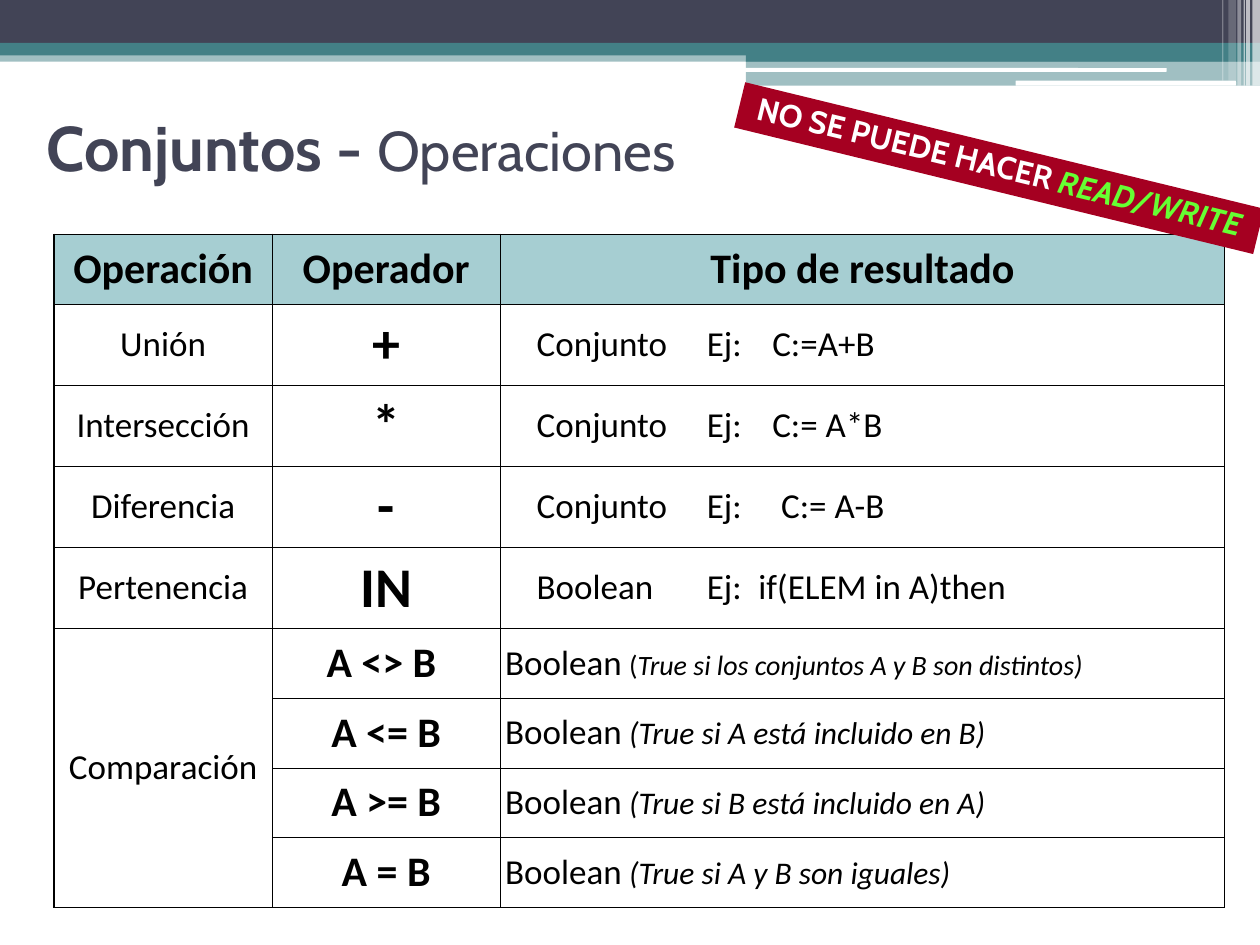
from pptx import Presentation
from pptx.dml.color import RGBColor
from pptx.enum.shapes import MSO_SHAPE as Shape
from pptx.enum.text import MSO_ANCHOR as Anchor, PP_ALIGN as Align
from pptx.oxml import parse_xml
from pptx.oxml.ns import nsdecls
from pptx.util import Inches, Pt

COLORS = {
    "navy": "424456", "teal": "438086", "white": "FFFFFF", "black": "000000",
    "header": "74B3BA", "red": "A50021", "green": "66FF33",
}
CELL = Inches(0.01)
COLUMNS, ROWS = 1000, 750
THIN, THICK = 0.45, 0.96


def grid(*lengths):
    return [round(length * CELL) for length in lengths]


def within(box, left, top, width, height):
    return grid(box[0] + left, box[1] + top, width, height)


def paint(fill, color, alpha=100):
    fill.solid()
    fill.fore_color.rgb = RGBColor.from_string(COLORS[color])
    if alpha < 100:
        choice = fill._xPr.find(".//{*}srgbClr")
        choice.append(parse_xml(f'<a:alpha {nsdecls("a")} val="{alpha * 1000}"/>'))


def add_block(page, place, color, alpha=100, kind=Shape.RECTANGLE):
    shape = page.shapes.add_shape(kind, *place)
    shape.shadow.inherit = False
    shape.line.fill.background()
    paint(shape.fill, color, alpha)
    return shape


def write(para, parts, font, color):
    for text, size, bold, italic, *own_color in parts:
        span = para.add_run()
        span.text = text
        span.font.name = font
        span.font.size = Pt(size)
        span.font.bold = bold
        span.font.italic = italic
        name = own_color[0] if own_color else color
        span.font.color.rgb = RGBColor.from_string(COLORS[name])


def draw_header(page, box):
    width, height = box[2:]
    split = 592
    bars = [
        (0, 40, width, 9, "teal", 50), (0, 0, width, 34, "navy", 100),
        (0, 34, width, 10, "teal", 100),
        (split, 39, width - split, 10, "teal", 100),
        (split, 48, width - split, 20, "teal", 50),
    ]
    for *place, color, alpha in bars:
        add_block(page, within(box, *place), color, alpha)
    for place in [(591, 54, 335, 3), (806, 64, 175, 4)]:
        add_block(page, within(box, *place), "white", kind=Shape.ROUNDED_RECTANGLE)
    stripes = [
        (994, 6, height, 65), (989, 3, height, 65), (987, 1, height, 60),
        (982, 3, height, 40), (975, 6, 64, 20), (970, 1, 64, 30),
    ]
    for left, thickness, length, alpha in stripes:
        add_block(page, within(box, left, 0, thickness, length), "white", alpha)


def draw_title(page, box):
    title = page.shapes.title
    title.left, title.top, title.width, title.height = grid(*box)
    title.text_frame.vertical_anchor = Anchor.MIDDLE
    para = title.text_frame.paragraphs[0]
    para.alignment = Align.LEFT
    write(para, [("Conjuntos - ", 36, True, False),
                 ("Operaciones", 32, False, False)], "Cabin", "navy")


def set_borders(cell, widths):
    properties = cell._tc.get_or_add_tcPr()
    for index, (side, width) in enumerate(zip("LRTB", widths)):
        properties.insert(index, parse_xml(
            f'<a:ln{side} {nsdecls("a")} w="{Pt(width)}"><a:solidFill>'
            f'<a:srgbClr val="{COLORS["black"]}"/></a:solidFill></a:ln{side}>'))


def set_tabs(para, *stops):
    marks = "".join(f'<a:tab pos="{stop}" algn="l"/>' for stop in grid(*stops))
    para._p.get_or_add_pPr().append(
        parse_xml(f'<a:tabLst {nsdecls("a")}>{marks}</a:tabLst>'))


def fill_cell(cell, parts, align=Align.CENTER):
    cell.vertical_anchor = Anchor.MIDDLE
    cell.margin_left, cell.margin_right, cell.margin_top, cell.margin_bottom = grid(4, 4, 5, 5)
    para = cell.text_frame.paragraphs[0]
    para.alignment = align
    write(para, parts, "Calibri", "black")
    return para


def draw_table(page, box):
    headings = ["Operación", "Operador", "Tipo de resultado"]
    operations = [
        ("Unión", "+", "Conjunto\tEj:\tC:=A+B", 187),
        ("Intersección", "*", "Conjunto\tEj:\tC:= A*B", 187),
        ("Diferencia", "-", "Conjunto\tEj:\tC:= A-B", 194),
        ("Pertenencia", "IN", "Boolean\tEj:\tif(ELEM in A)then", 176),
    ]
    small_open = [("(", 16, False, False),
                  ("True si los conjuntos A y B son distintos)", 16, False, True)]
    comparisons = [
        ("A <> B ", small_open),
        ("A <= B", [("(True si A está incluido en B)", 18, False, True)]),
        ("A >= B", [("(True si B está incluido en A)", 18, False, True)]),
        ("A = B", [("(True si A y B son iguales)", 18, False, True)]),
    ]
    count = 1 + len(operations) + len(comparisons)
    frame = page.shapes.add_table(count, 3, *grid(*box))
    table = frame.table
    table.first_row = table.horz_banding = False
    for column, width in zip(table.columns, grid(173, 181, 575)):
        column.width = width
    for row in table.rows:
        row.height = round(box[3] * CELL / count)

    for index in range(count):
        for side in range(3):
            cell = table.cell(index, side)
            if index:
                cell.fill.background()
            else:
                paint(cell.fill, "header", 64)
            edges = [side == 0, side == 2, index == 0, index == count - 1]
            set_borders(cell, [THICK if edge else THIN for edge in edges])

    for side, heading in enumerate(headings):
        fill_cell(table.cell(0, side), [(heading, 24, True, False)])
    for index, (name, sign, result, stop) in enumerate(operations, 1):
        fill_cell(table.cell(index, 0), [(name, 20, False, False)])
        fill_cell(table.cell(index, 1), [(sign, 32, True, False)])
        cell = table.cell(index, 2)
        para = fill_cell(cell, [(result, 20, False, False)], Align.LEFT)
        cell.margin_left = grid(29)[0]
        set_tabs(para, 135, stop)

    first = 1 + len(operations)
    table.cell(first, 0).merge(table.cell(count - 1, 0))
    fill_cell(table.cell(first, 0), [("Comparación", 20, False, False)])
    for index, (sign, meaning) in enumerate(comparisons, first):
        fill_cell(table.cell(index, 1), [(sign, 24, True, False)])
        result = [("Boolean", 20, False, False), (" ", 18, False, False)]
        fill_cell(table.cell(index, 2), result + meaning, Align.LEFT)


def draw_banner(page, box):
    banner = add_block(page, grid(*box), "red")
    banner.rotation = 13.7
    banner.text_frame.word_wrap = True
    banner.text_frame.vertical_anchor = Anchor.TOP
    para = banner.text_frame.paragraphs[0]
    para.alignment = Align.CENTER
    para.line_spacing = 0.9
    para.space_before = Pt(4.5)
    write(para, [("NO SE PUEDE HACER ", 18, True, False),
                 ("READ/WRITE", 18, True, True, "green")], "Cabin", "white")


deck = Presentation()
deck.slide_width, deck.slide_height = grid(COLUMNS, ROWS)
page = deck.slides.add_slide(deck.slide_layouts[5])
draw_header(page, (0, 0, COLUMNS, 68))
draw_title(page, (27, 52, 900, 128))
draw_table(page, (43, 186, 929, 498))
draw_banner(page, (581, 115, 424, 37))
deck.save("out.pptx")
